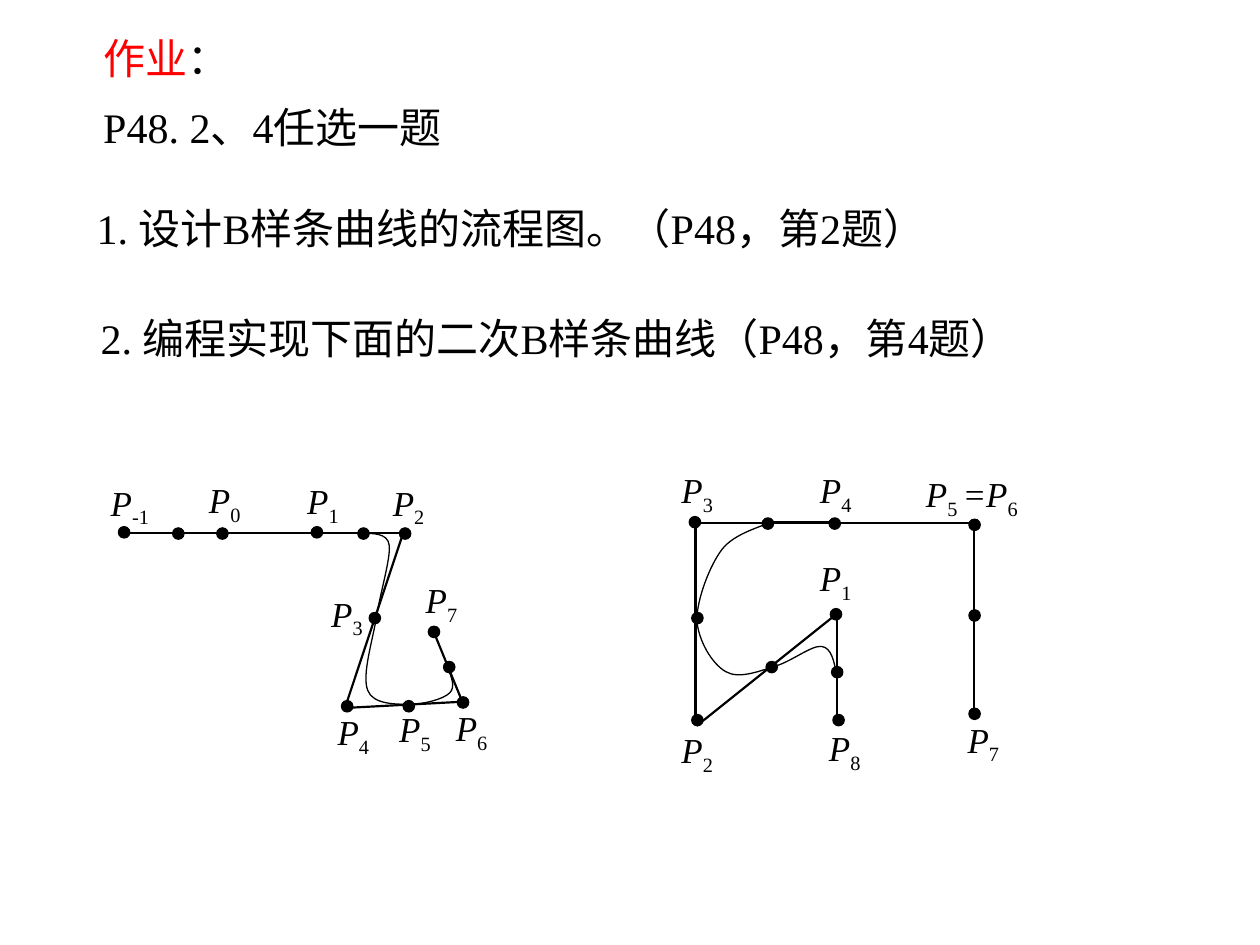
"""Build the homework slide with two quadratic B-spline figures."""
from dataclasses import dataclass

from pptx import Presentation
from pptx.dml.color import RGBColor
from pptx.enum.shapes import MSO_CONNECTOR, MSO_SHAPE
from pptx.enum.text import MSO_ANCHOR, MSO_AUTO_SIZE, PP_ALIGN
from pptx.oxml.ns import qn
from pptx.oxml.xmlchemy import OxmlElement
from pptx.util import Pt

STRAIGHT = MSO_CONNECTOR.STRAIGHT
OVAL = MSO_SHAPE.OVAL
TOP = MSO_ANCHOR.TOP
LEFT = PP_ALIGN.LEFT
FIT = MSO_AUTO_SIZE.SHAPE_TO_FIT_TEXT
TITLE_ONLY = 5

Point = tuple[float, float]


@dataclass(frozen=True)
class Theme:
    font: str = "Times New Roman"
    ink: RGBColor = RGBColor(0, 0, 0)
    accent: RGBColor = RGBColor(255, 0, 0)
    body_size: float = 24
    label_size: float = 20
    edge: float = 1.25
    thin: float = 0.75
    dot: float = 6.5


@dataclass(frozen=True)
class Label:
    x: float
    y: float
    terms: tuple[tuple[str, str], ...]
    width: float = 50.4


@dataclass(frozen=True)
class Figure:
    edges: list[tuple[Point, Point]]
    dots: list[Point]
    curve: list[Point]
    labels: list[Label]


THEME = Theme()


def point_label(x: float, y: float, index: str) -> Label:
    """Return the label of one control point."""
    return Label(x, y, (("P", index),))


LEFT_FIGURE = Figure(
    edges=[((247.7, 360.7), (264.2, 401)), ((196.6, 404.6), (264.2, 401)),
           ((73.4, 304.6), (230.4, 304.6)), ((196.6, 406.1), (230.4, 304.6))],
    dots=[(70.9, 304.2), (101.9, 304.9), (127.1, 304.9), (181.1, 304.2),
          (207.7, 304.9), (231.5, 304.9), (214.2, 353.2), (198.4, 403.6),
          (233.6, 403.6), (264.6, 401.4), (256.7, 381.2), (248, 361.1)],
    curve=[(71.3, 304.6), (208.8, 304.6),
           (211, 305.3), (221.8, 303.8), (222.5, 311.8),
           (223.2, 319.7), (217.4, 338.4), (215.3, 352.1),
           (213.1, 365.8), (206.6, 385.9), (210.2, 394.6),
           (213.1, 402.5), (226.1, 402.5), (234, 402.5),
           (241.9, 402.5), (253.4, 399.6), (257, 396),
           (260.6, 392.4), (257.8, 386.6), (255.6, 380.9)],
    labels=[point_label(56.2, 271.4, "-1"), point_label(112.3, 270, "0"),
            point_label(168.5, 270.7, "1"), point_label(217.4, 271.4, "2"),
            point_label(182.2, 334.8, "3"), point_label(185.8, 402.5, "4"),
            point_label(221, 401, "5"), point_label(253.4, 400.3, "6"),
            point_label(236.2, 326.9, "7")],
)

RIGHT_FIGURE = Figure(
    edges=[((399.6, 298.8), (556.6, 298.8)), ((397.4, 410.4), (397.4, 300.2)),
           ((478.1, 414), (478.1, 352.1)), ((477.4, 351.4), (398.2, 414.7)),
           ((556.6, 410.4), (556.6, 299.5))],
    dots=[(397.1, 298.4), (438.8, 299.2), (477, 299.2), (556.9, 299.9),
          (556.9, 351.7), (556.9, 407.9), (477.7, 351), (478.4, 384.1),
          (479.2, 411.5), (441, 381.2), (398.5, 353.2), (398.5, 411.5)],
    curve=[(476.6, 298.1), (440.6, 298.1),
           (435.6, 301), (419.8, 304.6), (412.6, 313.9),
           (405.4, 323.3), (398.2, 342.7), (398.2, 354.2),
           (398.9, 365.8), (406.8, 379.4), (414.7, 383.8),
           (421.9, 388.1), (433.4, 383.8), (442.1, 380.9),
           (451.4, 378.7), (463.7, 368.6), (469.4, 369.4),
           (475.2, 370.1), (476.6, 378), (478.1, 385.9)],
    labels=[point_label(461.5, 314.6, "1"), point_label(382.3, 412.6, "2"),
            point_label(382.3, 264.2, "3"), point_label(461.5, 264.2, "4"),
            Label(522, 266.4, (("P", "5 "), ("=P", "6")), 95.8),
            point_label(545.8, 406.8, "7"), point_label(466.6, 411.8, "8")],
)


def add_run(p, text: str, size: float, color: RGBColor = THEME.ink):
    """Append a formatted run to a paragraph."""
    r = p.add_run()
    r.text = text
    r.font.name = THEME.font
    r.font.size = Pt(size)
    r.font.color.rgb = color
    return r


def add_box(shapes, x: float, y: float, w: float, h: float):
    """Add a wrapping text box and return its first paragraph."""
    tf = shapes.add_textbox(Pt(x), Pt(y), Pt(w), Pt(h)).text_frame
    tf.word_wrap = True
    tf.auto_size = FIT
    return tf.paragraphs[0]


def add_edge(shapes, start: Point, end: Point) -> None:
    """Draw one side of a control polygon."""
    sp = shapes.add_connector(STRAIGHT, *(Pt(v) for v in start + end))
    sp.line.color.rgb = THEME.ink
    sp.line.width = Pt(THEME.edge)
    sp._element.spPr.append(OxmlElement("a:effectLst"))


def add_dot(shapes, center: Point) -> None:
    """Draw a filled dot around its centre."""
    x, y = (Pt(v - THEME.dot / 2) for v in center)
    sp = shapes.add_shape(OVAL, x, y, Pt(THEME.dot), Pt(THEME.dot))
    sp.shadow.inherit = False
    sp.fill.solid()
    sp.fill.fore_color.rgb = THEME.ink
    sp.line.color.rgb = THEME.ink
    sp.line.width = Pt(THEME.thin)


def add_curve(shapes, points: list[Point]) -> None:
    """Draw a straight segment followed by cubic Bezier segments."""
    start, *rest = [(Pt(x), Pt(y)) for x, y in points]
    builder = shapes.build_freeform(*start)
    builder.add_line_segments(rest, close=False)
    sp = builder.convert_to_shape()
    sp.shadow.inherit = False
    sp.fill.background()
    sp.line.color.rgb = THEME.ink
    sp.line.width = Pt(THEME.thin)
    outline = next(sp._element.iter(qn("a:path")))
    segments = outline.findall(qn("a:lnTo"))[1:]
    for i in range(0, len(segments), 3):
        bezier = OxmlElement("a:cubicBezTo")
        for segment in segments[i:i + 3]:
            bezier.append(segment[0])
            outline.remove(segment)
        outline.append(bezier)


def add_label(shapes, label: Label) -> None:
    """Write italic names with upright subscripts."""
    p = add_box(shapes, label.x, label.y, label.width, 34.6)
    for name, index in label.terms:
        add_run(p, name, THEME.label_size).font.italic = True
        r = add_run(p, index, THEME.label_size)
        r._r.get_or_add_rPr().set("baseline", "-25000")


def add_figure(s, figure: Figure) -> None:
    """Draw one figure as a group."""
    shapes = s.shapes.add_group_shape().shapes
    for start, end in figure.edges:
        add_edge(shapes, start, end)
    add_curve(shapes, figure.curve)
    for center in figure.dots:
        add_dot(shapes, center)
    for label in figure.labels:
        add_label(shapes, label)


def add_title(s) -> None:
    """Place and fill the title."""
    sp = s.shapes.title
    sp.left, sp.top, sp.width, sp.height = Pt(51.8), Pt(15.1), Pt(231.1), Pt(75.6)
    tf = sp.text_frame
    tf.word_wrap = False
    tf.auto_size = FIT
    tf.vertical_anchor = TOP
    heading, choice = tf.paragraphs[0], tf.add_paragraph()
    heading.alignment = choice.alignment = LEFT
    choice.space_before = Pt(10.4)
    add_run(heading, "作业", THEME.body_size, THEME.accent)
    add_run(heading, "：", THEME.body_size)
    add_run(choice, "P48. 2、4任选一题", THEME.body_size)


def main() -> None:
    """Build and save the slide."""
    prs = Presentation()
    prs.slide_width, prs.slide_height = Pt(720), Pt(540)
    s = prs.slides.add_slide(prs.slide_layouts[TITLE_ONLY])
    add_title(s)
    p = add_box(s.shapes, 48.2, 112.3, 537.1, 36)
    add_run(p, "1. 设计B样条曲线的流程图。（P48，第2题）", THEME.body_size)
    p = add_box(s.shapes, 50.4, 160.6, 562.3, 93.6)
    p.line_spacing = 1.5
    add_run(p, "2. 编程实现下面的二次B样条曲线（P48，第4题）", THEME.body_size)
    for figure in (LEFT_FIGURE, RIGHT_FIGURE):
        add_figure(s, figure)
    prs.save("out.pptx")


if __name__ == "__main__":
    main()
